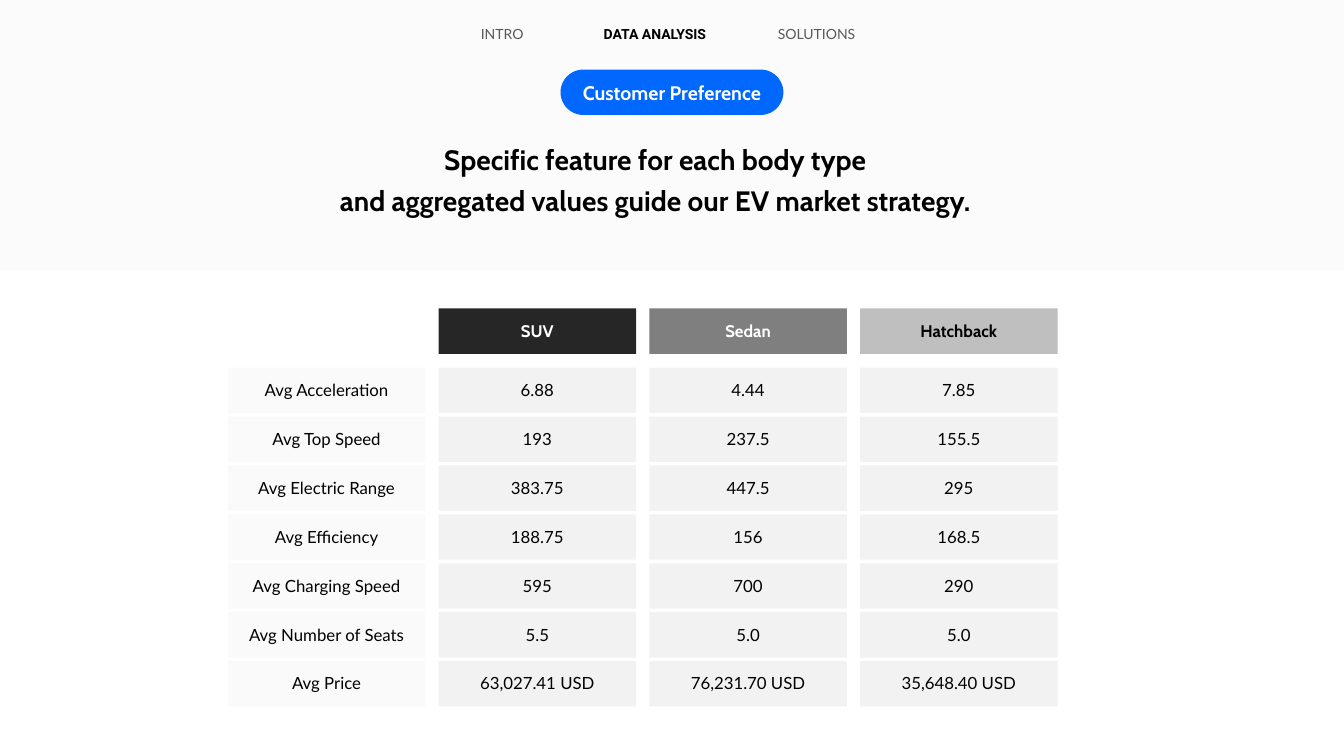
"""Build the customer preference slide with its grid of body types."""
import pptx
import pptx.util
from pptx.dml.color import RGBColor
from pptx.enum.shapes import MSO_SHAPE
from pptx.enum.text import MSO_ANCHOR, MSO_AUTO_SIZE, PP_ALIGN

WIDE = pptx.util.Inches(13.33)
HIGH = pptx.util.Inches(7.5)

BLACK = RGBColor(0x00, 0x00, 0x00)
WHITE = RGBColor(0xFF, 0xFF, 0xFF)
BLUE = RGBColor(0x00, 0x67, 0xFF)
BAND = RGBColor(0xFB, 0xFB, 0xFB)
LABEL = RGBColor(0xFA, 0xFA, 0xFA)
VALUE = RGBColor(0xF2, 0xF2, 0xF2)
MUTED = RGBColor(0x59, 0x59, 0x59)
DARK = RGBColor(0x26, 0x26, 0x26)
MID = RGBColor(0x7F, 0x7F, 0x7F)
PALE = RGBColor(0xBF, 0xBF, 0xBF)

LEFT, STEP, CELL = 16.95, 15.68, 14.7
HEAD, TOP, PITCH, TALL = 40.8, 48.63, 6.47, 6

TABS = [
    (34.21, 6.3, "INTRO", "Lato", MUTED, False),
    (41.79, 13.88, "DATA ANALYSIS", "Roboto", BLACK, True),
    (55.66, 10.2, "SOLUTIONS", "Lato", MUTED, False),
]
TITLE = [
    "Specific feature for each body type",
    "and aggregated values guide our EV market strategy.",
]
TYPES = [("SUV", DARK, WHITE), ("Sedan", MID, WHITE), ("Hatchback", PALE, BLACK)]
ROWS = [
    ("Avg Acceleration", "6.88", "4.44", "7.85"),
    ("Avg Top Speed", "193", "237.5", "155.5"),
    ("Avg Electric Range", "383.75", "447.5", "295"),
    ("Avg Efficiency", "188.75", "156", "168.5"),
    ("Avg Charging Speed", "595", "700", "290"),
    ("Avg Number of Seats", "5.5", "5.0", "5.0"),
    ("Avg Price", "63,027.41 USD", "76,231.70 USD", "35,648.40 USD"),
]


def place(x, y, w, h):
    """Turn percent shares of the slide into lengths."""
    return [int(side * part / 100) for side, part in zip((WIDE, HIGH) * 2, (x, y, w, h))]


def write(frame, lines, font, size, color, bold=False, lead=None):
    """Fill a text frame with centred lines."""
    frame.word_wrap = True
    for i, line in enumerate(lines):
        para = frame.paragraphs[0] if i == 0 else frame.add_paragraph()
        para.alignment = PP_ALIGN.CENTER
        if lead:
            para.line_spacing = lead
        run = para.add_run()
        run.text = line
        run.font.name = font
        run.font.size = pptx.util.Pt(size)
        run.font.bold = bold
        run.font.color.rgb = color


def add_block(slide, spot, fill, kind=MSO_SHAPE.RECTANGLE):
    """Add a flat filled shape."""
    block = slide.shapes.add_shape(kind, *place(*spot))
    block.shadow.inherit = False
    block.fill.solid()
    block.fill.fore_color.rgb = fill
    block.line.fill.background()
    return block


def add_text(slide, spot, lines, *style):
    """Add a text box that grows with its lines."""
    frame = slide.shapes.add_textbox(*place(*spot)).text_frame
    write(frame, lines, *style)
    frame.auto_size = MSO_AUTO_SIZE.SHAPE_TO_FIT_TEXT


def add_cell(slide, col, y, text, fill, font, color, bold=False):
    """Add one cell of the grid."""
    block = add_block(slide, (LEFT + col * STEP, y, CELL, TALL), fill)
    frame = block.text_frame
    frame.vertical_anchor = MSO_ANCHOR.MIDDLE
    frame.margin_bottom = pptx.util.Inches(0.1)
    write(frame, [text], font, 12, color, bold, 1.2)


def add_pill(slide, text):
    """Add the rounded topic label."""
    pill = add_block(slide, (41.71, 9.2, 16.58, TALL), BLUE, MSO_SHAPE.ROUNDED_RECTANGLE)
    pill.adjustments[0] = 0.5
    pill.text_frame.vertical_anchor = MSO_ANCHOR.MIDDLE
    write(pill.text_frame, [text], "Cabin", 14, WHITE, True)


def add_grid(slide):
    """Add the header cells and the rows of values."""
    for r, row in enumerate(ROWS):
        for c, text in enumerate(row):
            add_cell(slide, c, TOP + r * PITCH, text, VALUE if c else LABEL, "Lato", BLACK)
    for c, (name, fill, color) in enumerate(TYPES, 1):
        add_cell(slide, c, HEAD, name, fill, "Cabin", color, True)


def main():
    """Build and save the deck."""
    deck = pptx.Presentation()
    deck.slide_width, deck.slide_height = WIDE, HIGH
    slide = deck.slides.add_slide(deck.slide_layouts[6])
    add_block(slide, (0, 0, 100, 35.73), BAND)
    for x, w, text, font, color, bold in TABS:
        add_text(slide, (x, 2.67, w, 3.6), [text], font, 10, color, bold)
    add_text(slide, (3.9, 17.33, 89.72, 11.73), TITLE, "Cabin", 20, BLACK, True, 1.2)
    add_pill(slide, "Customer Preference")
    add_grid(slide)
    deck.save("out.pptx")


if __name__ == "__main__":
    main()
